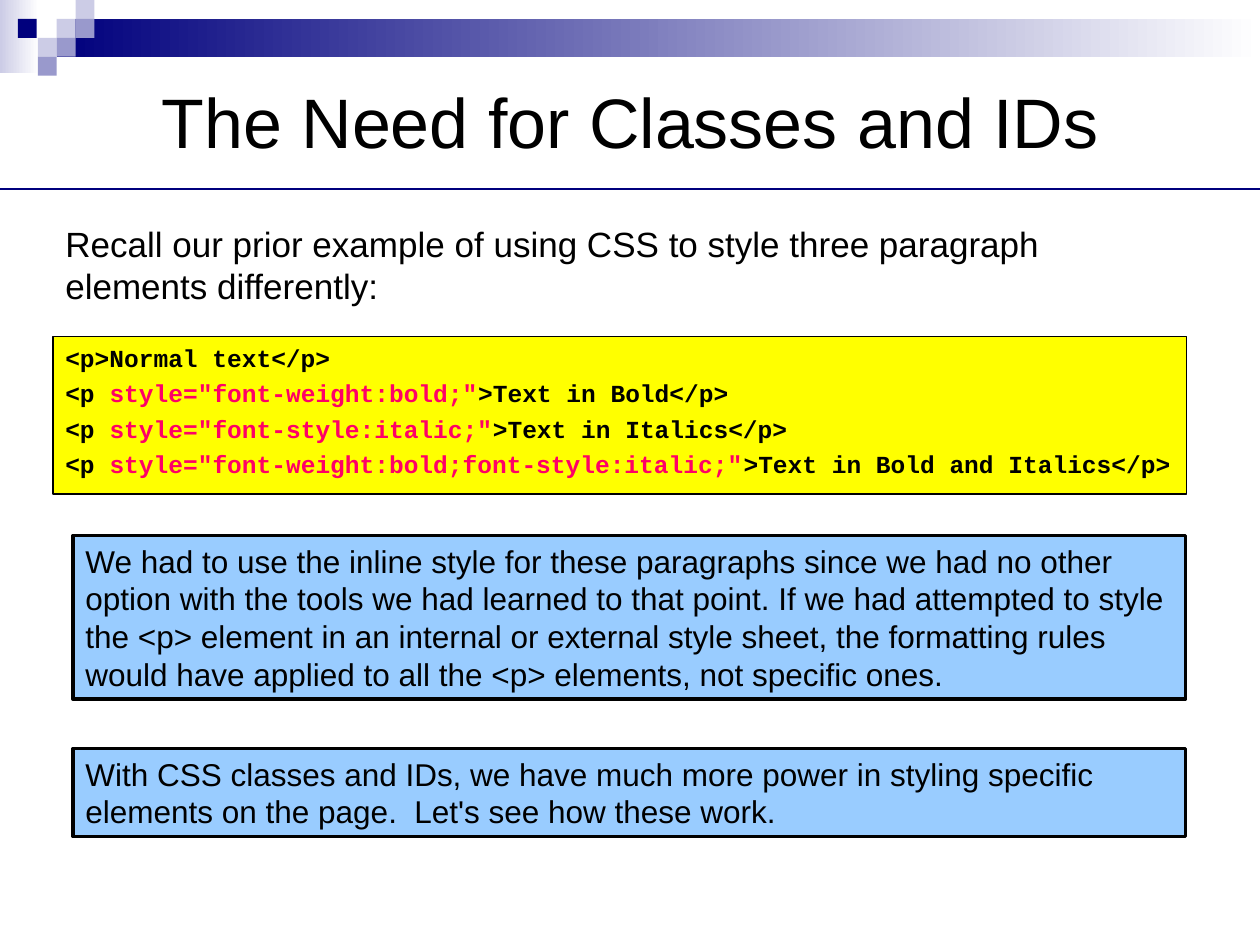
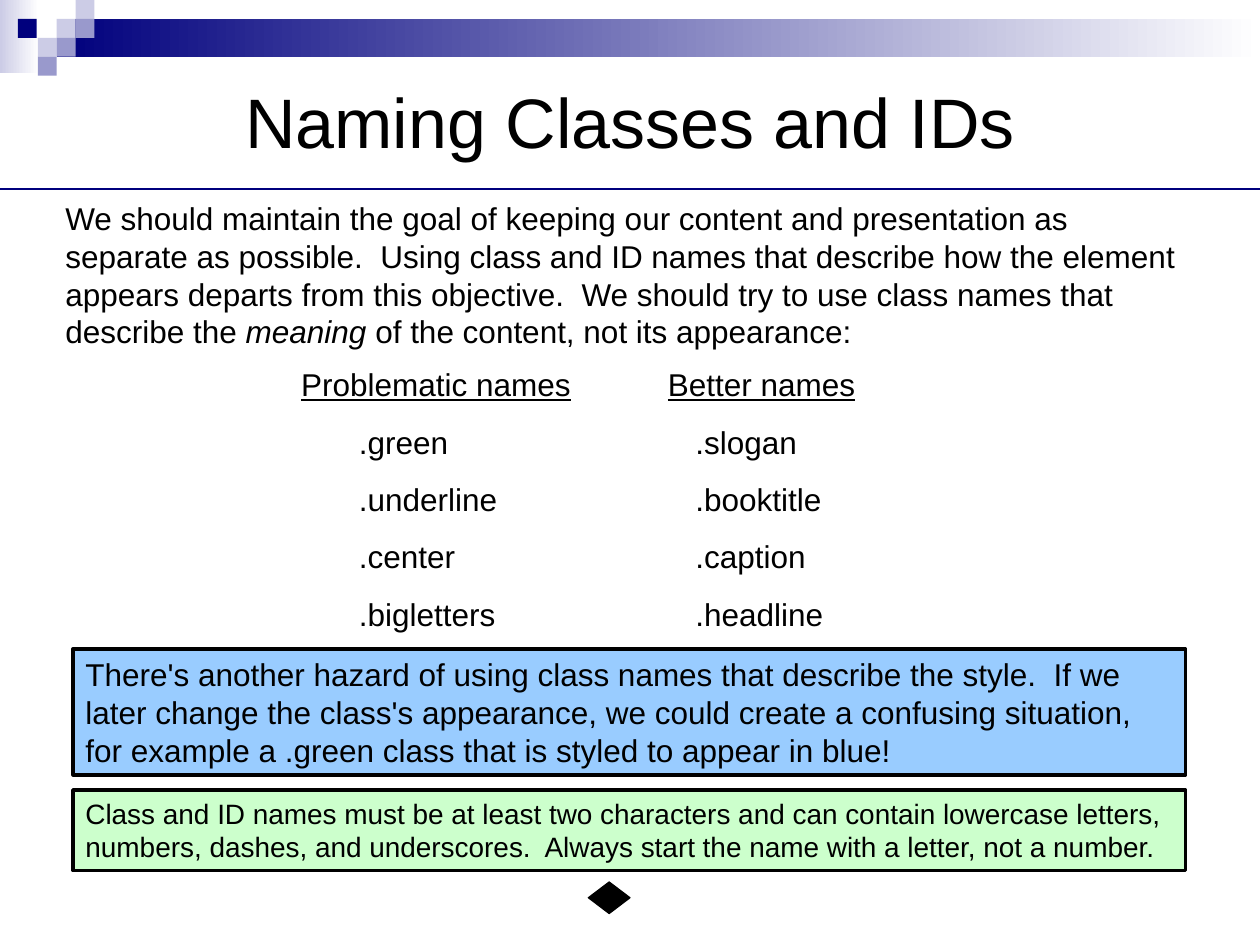
from dataclasses import dataclass

from lxml.etree import SubElement
from pptx import Presentation
from pptx.dml.color import RGBColor
from pptx.enum.shapes import MSO_CONNECTOR, MSO_SHAPE
from pptx.enum.text import MSO_ANCHOR, PP_ALIGN
from pptx.oxml.ns import qn
from pptx.util import Pt


@dataclass(frozen=True)
class Theme:
    navy: str = "00007D"
    lilac: str = "9999CC"
    pale: str = "CCCCE6"
    white: str = "FFFFFF"
    black: str = "000000"
    yellow: str = "FFFF00"
    blue: str = "99CCFF"
    green: str = "CCFFCC"
    pink: str = "FF0066"
    sans: str = "Arial"
    mono: str = "Courier New"
    title: int = 40
    lead: int = 20
    body: int = 18
    note: int = 16
    code: int = 14


THEME = Theme()
WIDTH, HEIGHT = 720, 540
TITLE_BOX = (36, 30.24, 648, 77.76)
RULE_TOP = 108
SQUARE = 10.8
PANEL_LEFT, PANEL_WIDTH = 41.76, 635.76
TEXT_LEFT = 30.24

# Left, top and colour of the small squares in the corner
SQUARES = [
    (32.4, 10.8, THEME.pale),
    (43.2, 0, THEME.pale),
    (43.2, 10.8, THEME.lilac),
    (21.6, 21.6, THEME.pale),
    (10.2, 10.8, THEME.navy),
    (32.4, 21.6, THEME.lilac),
    (21.6, 32.4, THEME.lilac),
]

NEED_TITLE = "The Need for Classes and IDs"
NEED_LEAD = "Recall our prior example of using CSS to style three paragraph elements differently:"
# Style attribute and content of each paragraph element
CODE_LINES = [
    ("", "Normal text"),
    ('style="font-weight:bold;"', "Text in Bold"),
    ('style="font-style:italic;"', "Text in Italics"),
    ('style="font-weight:bold;font-style:italic;"', "Text in Bold and Italics"),
]
# Top, height, fill, type size and text
NEED_PANELS = [
    (306, 93.6, THEME.blue, THEME.body,
     "We had to use the inline style for these paragraphs since we had no other option "
     "with the tools we had learned to that point. If we had attempted to style the <p> "
     "element in an internal or external style sheet, the formatting rules would have "
     "applied to all the <p> elements, not specific ones."),
    (427.68, 50.4, THEME.blue, THEME.body,
     "With CSS classes and IDs, we have much more power in styling specific elements on "
     "the page.  Let's see how these work."),
]

NAMING_TITLE = "Naming Classes and IDs"
NAMING_LEAD = [
    ("We should maintain the goal of keeping our content and presentation as separate as "
     "possible.  Using class and ID names that describe how the element appears departs "
     "from this objective.  We should try to use class names that describe the ", {}),
    ("meaning", {"italic": True}),
    (" of the content, not its appearance:", {}),
]
# Left, width, heading and names
NAME_COLUMNS = [
    (162, 174.24, "Problematic names", [".green", ".underline", ".center", ".bigletters"]),
    (354.24, 162, "Better names", [".slogan", ".booktitle", ".caption", ".headline"]),
]
NAMING_PANELS = [
    (370.8, 72, THEME.blue, THEME.body,
     "There's another hazard of using class names that describe the style.  If we later "
     "change the class's appearance, we could create a confusing situation, for example a "
     ".green class that is styled to appear in blue!"),
    (451.44, 46.08, THEME.green, THEME.note,
     "Class and ID names must be at least two characters and can contain lowercase "
     "letters, numbers, dashes, and underscores.  Always start the name with a letter, "
     "not a number."),
]


def color(code):
    return RGBColor.from_string(code)


def points(box):
    return [Pt(length) for length in box]


def add_block(page, box, fill, line_width=0, preset=MSO_SHAPE.RECTANGLE):
    """Add a preset shape; a pair of colours as fill gives a left-to-right gradient."""
    block = page.shapes.add_shape(preset, *points(box))
    block.shadow.inherit = False
    if isinstance(fill, tuple):
        block.fill.gradient()
        block.fill.gradient_angle = 0
        for stop, code in zip(block.fill.gradient_stops, fill):
            stop.color.rgb = color(code)
    else:
        block.fill.solid()
        block.fill.fore_color.rgb = color(fill)
    if line_width:
        block.line.color.rgb = color(THEME.black)
        block.line.width = Pt(line_width)
    else:
        block.line.fill.background()
    return block


def write(shape, paragraphs, anchor=MSO_ANCHOR.TOP):
    """Fill a shape with (spans, format) paragraphs; spans is text or (text, format) pairs."""
    frame = shape.text_frame
    frame.word_wrap = True
    frame.vertical_anchor = anchor
    for index, (spans, look) in enumerate(paragraphs):
        para = frame.add_paragraph() if index else frame.paragraphs[0]
        para.alignment = look.get("align", PP_ALIGN.LEFT)
        para.space_before = Pt(look.get("before", 0))
        para.space_after = Pt(look.get("after", 0))
        para.level = look.get("level", 0)
        properties = para._p.get_or_add_pPr()
        properties.set("marL", str(Pt(look.get("margin", 0))))
        properties.set("indent", str(Pt(look.get("indent", 0))))
        para.font.name = look.get("font", THEME.sans)
        para.font.size = Pt(look.get("size", THEME.body))
        para.font.bold = look.get("bold", False)
        para.font.underline = look.get("underline", False)
        para.font.color.rgb = color(THEME.black)
        for text, style in [(spans, {})] if isinstance(spans, str) else spans:
            span = para.add_run()
            span.text = text
            if "color" in style:
                span.font.color.rgb = color(style["color"])
            if "italic" in style:
                span.font.italic = style["italic"]


def add_text(page, box, paragraphs, anchor=MSO_ANCHOR.TOP):
    write(page.shapes.add_textbox(*points(box)), paragraphs, anchor)


def add_page(deck, title):
    """Add a page with the corner squares, band, title and rule."""
    page = deck.slides.add_slide(deck.slide_layouts[6])
    add_block(page, (0, 0, 22.32, 41.76), (THEME.pale, THEME.white))
    add_block(page, (32.4, 10.8, WIDTH - 32.4, 21.6), (THEME.navy, THEME.white))
    for left, top, fill in SQUARES:
        add_block(page, (left, top, SQUARE, SQUARE), fill)
    add_text(page, TITLE_BOX, [(title, {"size": THEME.title, "align": PP_ALIGN.CENTER})],
             MSO_ANCHOR.MIDDLE)
    rule = page.shapes.add_connector(
        MSO_CONNECTOR.STRAIGHT, *points((0, RULE_TOP, WIDTH, RULE_TOP)))
    rule.line.color.rgb = color(THEME.navy)
    rule.line.width = Pt(1.25)
    SubElement(rule._element.spPr, qn("a:effectLst"))
    return page


def add_panels(page, panels):
    for top, height, fill, size, text in panels:
        panel = add_block(page, (PANEL_LEFT, top, PANEL_WIDTH, height), fill, 2)
        write(panel, [(text, {"size": size, "before": 6, "after": 6})])


def code_spans(attribute, content):
    if not attribute:
        return f"<p>{content}</p>"
    return [("<p ", {}), (attribute, {"color": THEME.pink}), (f">{content}</p>", {})]


def build_need_page(deck):
    page = add_page(deck, NEED_TITLE)
    add_text(page, (TEXT_LEFT, 123.84, 648, 55.44), [(NEED_LEAD, {"size": THEME.lead})])
    listing = add_block(page, (TEXT_LEFT, 192.24, 648, 90), THEME.yellow, 0.75)
    look = {"font": THEME.mono, "size": THEME.code, "bold": True,
            "before": 3.5, "margin": 27, "indent": -27}
    write(listing, [(code_spans(*line), look) for line in CODE_LINES])
    add_panels(page, NEED_PANELS)


def build_naming_page(deck):
    page = add_page(deck, NAMING_TITLE)
    add_text(page, (TEXT_LEFT, 110.16, 653.76, 93.6), [(NAMING_LEAD, {})])
    add_panels(page, NAMING_PANELS)
    add_block(page, (336.24, 504, 23.76, 18), THEME.black, 0.75, MSO_SHAPE.DIAMOND)
    heading_look = {"align": PP_ALIGN.CENTER, "before": 11.2, "underline": True}
    name_look = {"level": 1, "margin": 36, "before": 11.2}
    for left, width, heading, names in NAME_COLUMNS:
        add_text(page, (left, 205.2, width, 160.56),
                 [(heading, heading_look)] + [(name, name_look) for name in names])


def main():
    deck = Presentation()
    deck.slide_width, deck.slide_height = Pt(WIDTH), Pt(HEIGHT)
    build_need_page(deck)
    build_naming_page(deck)
    deck.save("out.pptx")


if __name__ == "__main__":
    main()
